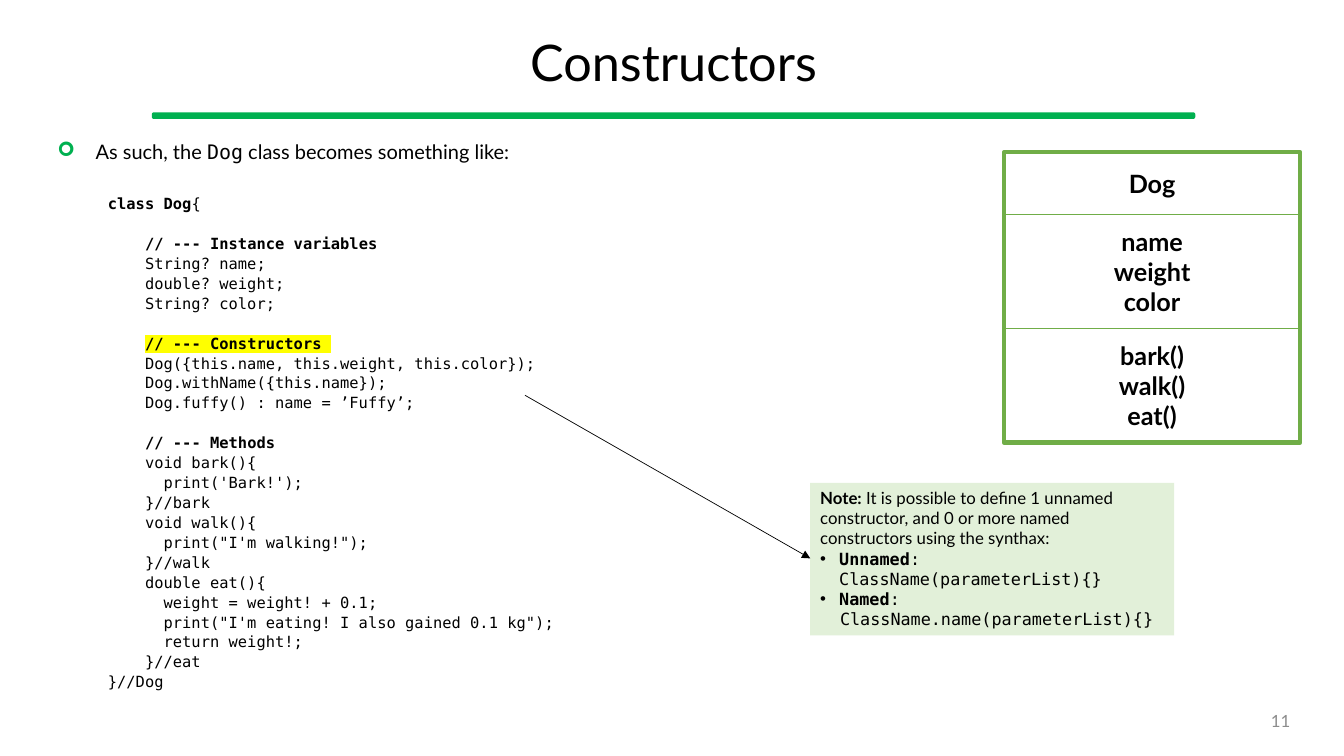
from lxml import etree
from pptx import Presentation
from pptx import util as u
from pptx.dml.color import RGBColor
from pptx.enum import shapes, text
from pptx.oxml import ns

SANS, MONO = "Lato", "DejaVu Sans Mono"
BLACK, GREEN, BORDER = "000000", "00B050", "70AD47"
LINE_PITCH = 14.23
CODE_SECTIONS = [
    "**class Dog**{",
    """    **// --- Instance variables**
    String? name;
    double? weight;
    String? color;""",
    """    ==// --- Constructors ==
    Dog({this.name, this.weight, this.color});
    Dog.withName({this.name});
    Dog.fuffy() : name = ’Fuffy’;""",
    """    **// --- Methods**
    void bark(){
      print('Bark!');
    }//bark
    void walk(){
      print("I'm walking!");
    }//walk
    double eat(){
      weight = weight! + 0.1;
      print("I'm eating! I also gained 0.1 kg");
      return weight!;
    }//eat
}//Dog""",
]


def color(value):
    return RGBColor.from_string(value)


def add_element(parent, tag, **attributes):
    return etree.SubElement(parent, ns.qn(tag), attributes)


def add_span(para, words, size, name=SANS, bold=False, ink=BLACK, highlight=None):
    span = para.add_run()
    span.text = words
    span.font.color.rgb = color(ink)
    if highlight:
        mark = add_element(span.font._element, "a:highlight")
        add_element(mark, "a:srgbClr", val=highlight)
    for key, value in {"size": u.Pt(size), "name": name, "bold": bold}.items():
        setattr(span.font, key, value)


def next_para(frame, **formats):
    """Return the unused first paragraph, or a new one, with the formats set."""
    first = frame.paragraphs[0]
    para = frame.add_paragraph() if first.runs else first
    for key, value in {"alignment": text.PP_ALIGN.LEFT, **formats}.items():
        setattr(para, key, value)
    return para


def indent(para, left, bullet=None, ink=BLACK, font="Arial"):
    properties = para._p.get_or_add_pPr()
    properties.set("marL", str(u.Cm(left)))
    if bullet:
        properties.set("indent", str(-u.Cm(left)))
        add_element(add_element(properties, "a:buClr"), "a:srgbClr", val=ink)
        add_element(properties, "a:buFont", typeface=font)
        add_element(properties, "a:buChar", char=bullet)


def add_box(page, left, top, width, height, fill=None, line=None, weight=1,
            kind=shapes.MSO_SHAPE.RECTANGLE):
    box = page.shapes.add_shape(kind, *map(u.Cm, (left, top, width, height)))
    box.shadow.inherit = False
    for part, value in ((box.fill, fill), (box.line.fill, line)):
        if value:
            part.solid()
            part.fore_color.rgb = color(value)
        else:
            part.background()
    if line:
        box.line.width = u.Pt(weight)
    box.text_frame.word_wrap = True
    return box


def add_text(page, left, top, width, height, anchor=text.MSO_ANCHOR.TOP, **margins):
    box = page.shapes.add_textbox(*map(u.Cm, (left, top, width, height)))
    frame = box.text_frame
    for key, value in {"word_wrap": True, "vertical_anchor": anchor, **margins}.items():
        setattr(frame, key, value)
    return frame


def add_heading(page, left, top, width, height):
    frame = add_text(page, left, top, width, height, text.MSO_ANCHOR.MIDDLE)
    para = next_para(frame, alignment=text.PP_ALIGN.CENTER, line_spacing=0.9)
    add_span(para, "Constructors", 36)
    rule_width = 26.26
    rule = add_box(page, left + (width - rule_width) / 2, top + height, rule_width, 0.13,
                   GREEN, GREEN, kind=shapes.MSO_SHAPE.ROUNDED_RECTANGLE)
    rule.adjustments[0] = 0.26


def add_code(frame):
    for section in CODE_SECTIONS:
        for number, line in enumerate(section.split("\n")):
            para = next_para(frame, line_spacing=u.Pt(LINE_PITCH))
            if number == 0 and section != CODE_SECTIONS[0]:
                para.space_before = u.Pt(LINE_PITCH)
            mark = "==" if "==" in line else "**"
            for part, words in enumerate(line.split(mark)):
                if words:
                    strong = part % 2 == 1
                    add_span(para, words, 11, MONO, strong,
                             highlight="FFFF00" if strong and mark == "==" else None)


def add_body(page, left, top, width, height):
    margins = dict.fromkeys(("margin_left", "margin_top", "margin_right", "margin_bottom"), 0)
    lead = add_text(page, left, top, width, 0.7, **margins)
    para = next_para(lead)
    indent(para, 0.96, "➢", GREEN, "Wingdings")
    for words, name in (("As such, the ", SANS), ("Dog", MONO),
                        (" class becomes something like:", SANS)):
        add_span(para, words, 14.3, name)
    add_code(add_text(page, left + 1.27, top + 1.35, width - 1.27, height - 1.35, **margins))


def add_note(page, left, top, width, height):
    frame = add_box(page, left, top, width, height, "E2F0D9").text_frame
    frame.vertical_anchor = text.MSO_ANCHOR.TOP
    para = next_para(frame)
    add_span(para, "Note:", 12, bold=True)
    add_span(para, " It is possible to define 1 unnamed constructor, and 0 or more "
                   "named constructors using the synthax:", 12)
    for term, syntax in (("Unnamed", ": ClassName(parameterList){}"), ("Named", ":")):
        para = next_para(frame)
        indent(para, 0.48, "•")
        add_span(para, term, 12, MONO, True)
        add_span(para, syntax, 12, MONO)
    para = next_para(frame)
    indent(para, 0.5)
    add_span(para, "ClassName.name(parameterList){}", 12, MONO)


def add_arrow(page, *ends):
    arrow = page.shapes.add_connector(shapes.MSO_CONNECTOR.STRAIGHT, *map(u.Cm, ends))
    arrow.line.color.rgb = color(BLACK)
    arrow.line.width = u.Pt(0.5)
    add_element(arrow.line._get_or_add_ln(), "a:tailEnd", type="triangle")
    add_element(arrow._element.spPr, "a:effectLst")


def add_class_diagram(page, left, top, width, height):
    members = (["Dog"], ["name", "weight", "color"], ["bark()", "walk()", "eat()"])
    name_height = 1.57
    member_height = (height - name_height) / 2
    row_top = top
    for names in members:
        row_height = name_height if len(names) == 1 else member_height
        row = add_box(page, left, row_top, width, row_height, "FFFFFF", BORDER)
        row.text_frame.vertical_anchor = text.MSO_ANCHOR.MIDDLE
        for name in names:
            para = next_para(row.text_frame, alignment=text.PP_ALIGN.CENTER)
            add_span(para, name, 18, bold=True)
        row_top += row_height
    add_box(page, left, top, width, height, line=BORDER, weight=3)


def add_page_number(page, left, top, width, height):
    frame = add_text(page, left, top, width, height, text.MSO_ANCHOR.MIDDLE)
    add_span(next_para(frame, alignment=text.PP_ALIGN.RIGHT), "11", 12, ink="8C8C8C")


def main():
    deck = Presentation()
    deck.slide_width, deck.slide_height = u.Cm(33.87), u.Cm(19.05)
    page = deck.slides.add_slide(deck.slide_layouts[6])
    add_heading(page, 1.19, 0.46, 31.57, 2.39)
    add_body(page, 1.45, 3.51, 24, 14.5)
    add_page_number(page, 23.93, 17.65, 8.84, 1.02)
    add_note(page, 20.42, 12.17, 9.17, 3.84)
    add_arrow(page, 13.23, 9.96, 20.42, 14.07)
    add_class_diagram(page, 25.3, 3.84, 7.47, 7.31)
    deck.save("out.pptx")


if __name__ == "__main__":
    main()
